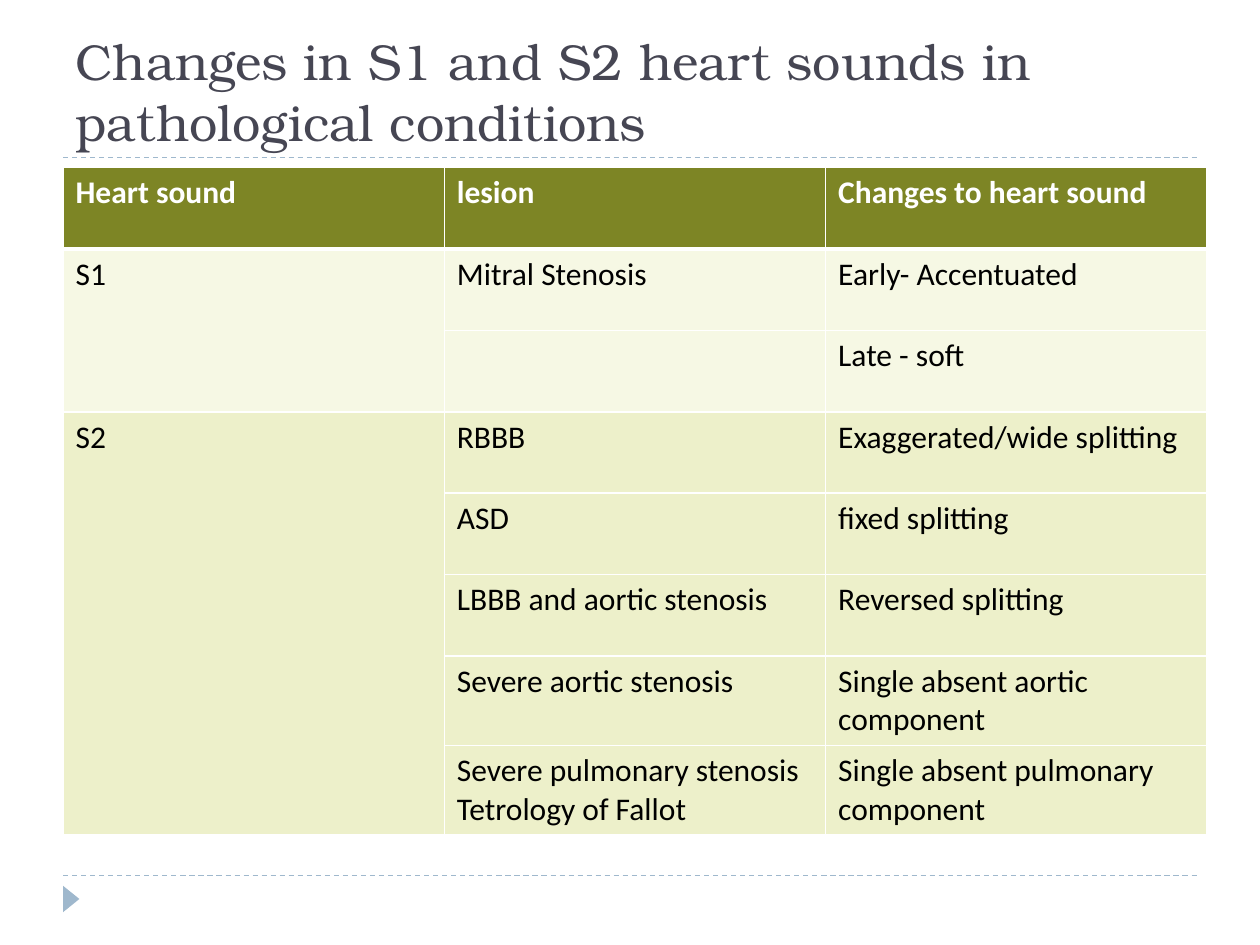
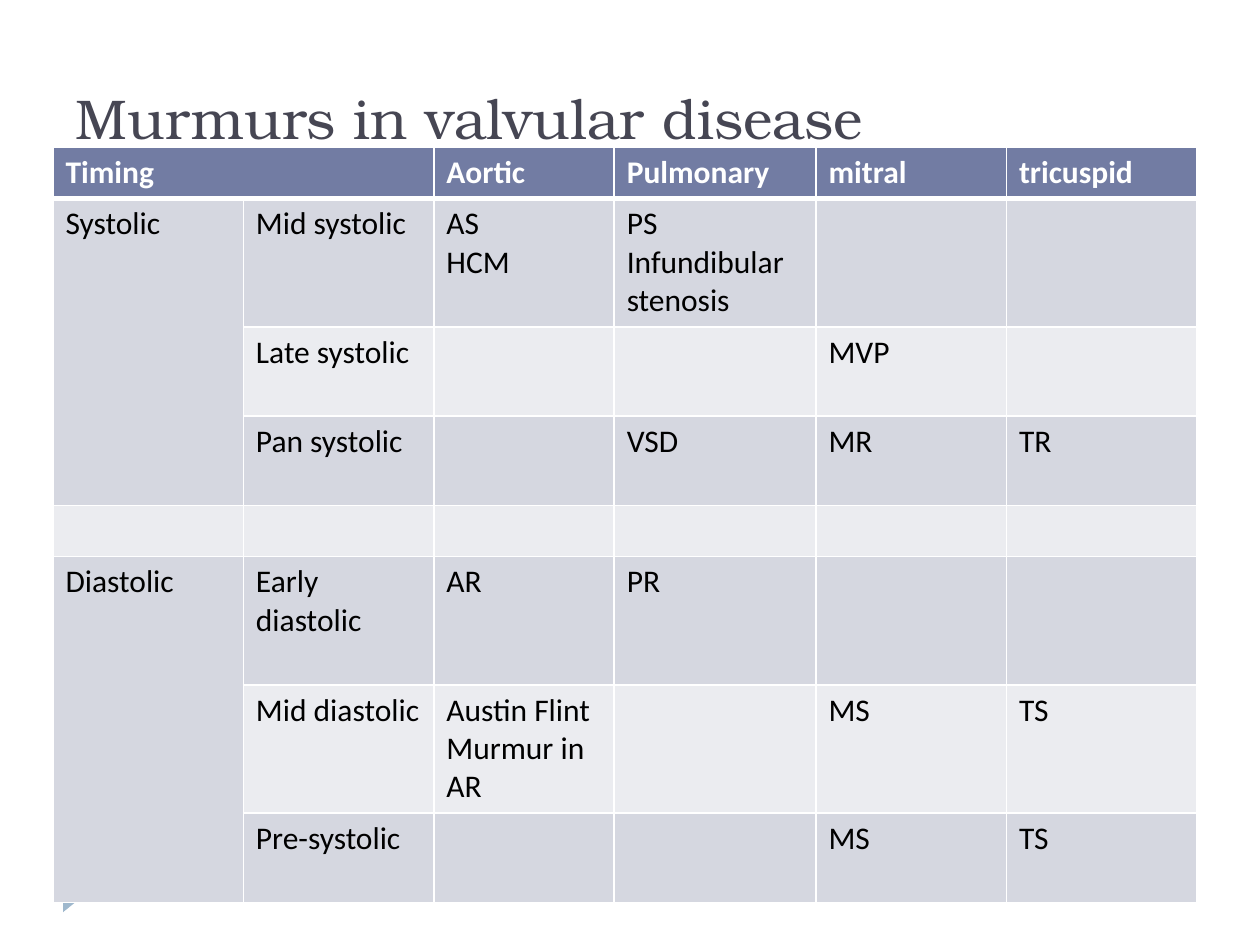
from dataclasses import dataclass

from pptx import Presentation
from pptx.dml.color import RGBColor
from pptx.enum.dml import MSO_LINE
from pptx.enum.shapes import MSO_CONNECTOR, MSO_SHAPE
from pptx.enum.text import MSO_ANCHOR, MSO_AUTO_SIZE, PP_ALIGN
from pptx.oxml.ns import qn
from pptx.util import Inches, Pt
from lxml.etree import SubElement


@dataclass(frozen=True)
class Theme:
    title_font: str = "TeX Gyre Bonum"
    body_font: str = "Calibri"
    title: str = "464653"
    accent: str = "9FB8CD"
    text: str = "000000"
    white: str = "FFFFFF"
    title_size: float = 32
    long_title_size: float = 28.8
    cell_size: float = 18
    rule: float = 0.75
    border: float = 1
    header_border: float = 3
    olive: tuple = ("7D8525", "F6F8E4", "EDF0CA")
    slate: tuple = ("727CA3", "EBECF0", "D5D7E0")


@dataclass(frozen=True)
class Box:
    x: float
    y: float
    w: float
    h: float

    def emu(self):
        return [grid(v) for v in (self.x, self.y, self.w, self.h)]


THEME = Theme()
COLS, ROWS = 100, 75
TITLE_BOX = Box(5, 1.7, 90, 10.8)
FOOTER_BOX = Box(5, 69.5, 90, 5.5)


def grid(units):
    return Inches(10 * units / COLS)


def rgb(color):
    return RGBColor.from_string(color)


def set_font(p, name, size, color, bold=False):
    p.font.name, p.font.size, p.font.bold = name, Pt(size), bold
    p.font.color.rgb = rgb(color)


def add_rule(slide, x, y, width):
    line = slide.shapes.add_connector(
        MSO_CONNECTOR.STRAIGHT, grid(x), grid(y), grid(x + width), grid(y))
    line.line.color.rgb = rgb(THEME.accent)
    line.line.width = Pt(THEME.rule)
    line.line.dash_style = MSO_LINE.DASH
    SubElement(line._element.spPr, qn("a:effectLst"))


def add_title(slide, box, text, size):
    add_rule(slide, box.x, box.y + box.h, box.w)
    sp = slide.shapes.title
    sp.left, sp.top, sp.width, sp.height = box.emu()
    tf = sp.text_frame
    tf.text = text
    tf.word_wrap = True
    tf.auto_size = MSO_AUTO_SIZE.NONE
    tf.vertical_anchor = MSO_ANCHOR.BOTTOM
    p = tf.paragraphs[0]
    p.alignment = PP_ALIGN.LEFT
    set_font(p, THEME.title_font, size, THEME.title)


def add_footer(slide, box):
    add_rule(slide, box.x, box.y, box.w)
    marker = Box(box.x - 0.4, box.y + 1.2, 2.1, 1.3)
    sp = slide.shapes.add_shape(MSO_SHAPE.ISOSCELES_TRIANGLE, *marker.emu())
    sp.rotation = 90
    sp.shadow.inherit = False
    sp.fill.solid()
    sp.fill.fore_color.rgb = rgb(THEME.accent)
    sp.line.fill.background()


def add_borders(cell, row):
    tcPr = cell._tc.get_or_add_tcPr()
    for side in "LRTB":
        under_header = (row, side) in ((0, "B"), (1, "T"))
        width = THEME.header_border if under_header else THEME.border
        ln = SubElement(tcPr, qn(f"a:ln{side}"), w=str(Pt(width)))
        fill = SubElement(ln, qn("a:solidFill"))
        SubElement(fill, qn("a:srgbClr"), val=THEME.white)


def fill_cell(cell, row, text, color):
    add_borders(cell, row)
    cell.fill.solid()
    cell.fill.fore_color.rgb = rgb(color)
    if text:
        cell.text = text
        for p in cell.text_frame.paragraphs:
            set_font(p, THEME.body_font, THEME.cell_size,
                     THEME.text if row else THEME.white, bold=row == 0)


def add_grid_table(slide, box, col_shares, row_shares, cells, palette, tones, spans):
    table = slide.shapes.add_table(len(cells), len(cells[0]), *box.emu()).table
    for col, share in zip(table.columns, col_shares):
        col.width = grid(box.w * share / sum(col_shares))
    for row, share in zip(table.rows, row_shares):
        row.height = grid(box.h * share / sum(row_shares))
    for r, (texts, tone) in enumerate(zip(cells, tones)):
        for c, text in enumerate(texts):
            fill_cell(table.cell(r, c), r, text, palette[tone])
    for first, last in spans:
        table.cell(*first).merge(table.cell(*last))


def add_table_slide(prs, title, title_size, **table):
    slide = prs.slides.add_slide(prs.slide_layouts[5])
    add_title(slide, TITLE_BOX, title, title_size)
    add_footer(slide, FOOTER_BOX)
    add_grid_table(slide, **table)


def add_heart_sounds(prs):
    add_table_slide(
        prs, "Changes in S1 and S2 heart sounds in pathological conditions",
        THEME.long_title_size,
        box=Box(5, 13.3, 90.8, 52.9),
        col_shares=[1] * 3,
        row_shares=[65] * 6 + [71] * 2,
        cells=[
            ("Heart sound", "lesion", "Changes to heart sound"),
            ("S1", "Mitral Stenosis", "Early- Accentuated"),
            ("", "", "Late - soft"),
            ("S2", "RBBB", "Exaggerated/wide splitting"),
            ("", "ASD", "fixed splitting"),
            ("", "LBBB and aortic stenosis", "Reversed splitting"),
            ("", "Severe aortic stenosis", "Single absent aortic component"),
            ("", "Severe pulmonary stenosis\nTetrology of Fallot",
             "Single absent pulmonary component"),
        ],
        palette=THEME.olive,
        tones=[0] + [1] * 2 + [2] * 5,
        spans=[((1, 0), (2, 0)), ((3, 0), (7, 0))])


def add_murmurs(prs):
    add_table_slide(
        prs, "Murmurs in valvular disease", THEME.title_size,
        box=Box(4.2, 11.7, 90.8, 59.8),
        col_shares=[151, 151, 143, 160, 151, 151],
        row_shares=[40, 102, 71, 71, 40, 102, 102, 71],
        cells=[
            ("Timing", "", "Aortic", "Pulmonary", "mitral", "tricuspid"),
            ("Systolic", "Mid systolic", "AS\nHCM", "PS\nInfundibular stenosis", "", ""),
            ("", "Late systolic", "", "", "MVP", ""),
            ("", "Pan systolic", "", "VSD", "MR", "TR"),
            ("",) * 6,
            ("Diastolic", "Early diastolic", "AR", "PR", "", ""),
            ("", "Mid diastolic", "Austin Flint Murmur in AR", "", "MS", "TS"),
            ("", "Pre-systolic", "", "", "MS", "TS"),
        ],
        palette=THEME.slate,
        tones=[0] + [2, 1] * 3 + [2],
        spans=[((0, 0), (0, 1)), ((1, 0), (3, 0)), ((5, 0), (7, 0))])


def main():
    prs = Presentation()
    prs.slide_width, prs.slide_height = grid(COLS), grid(ROWS)
    add_heart_sounds(prs)
    add_murmurs(prs)
    prs.save("out.pptx")


if __name__ == "__main__":
    main()
